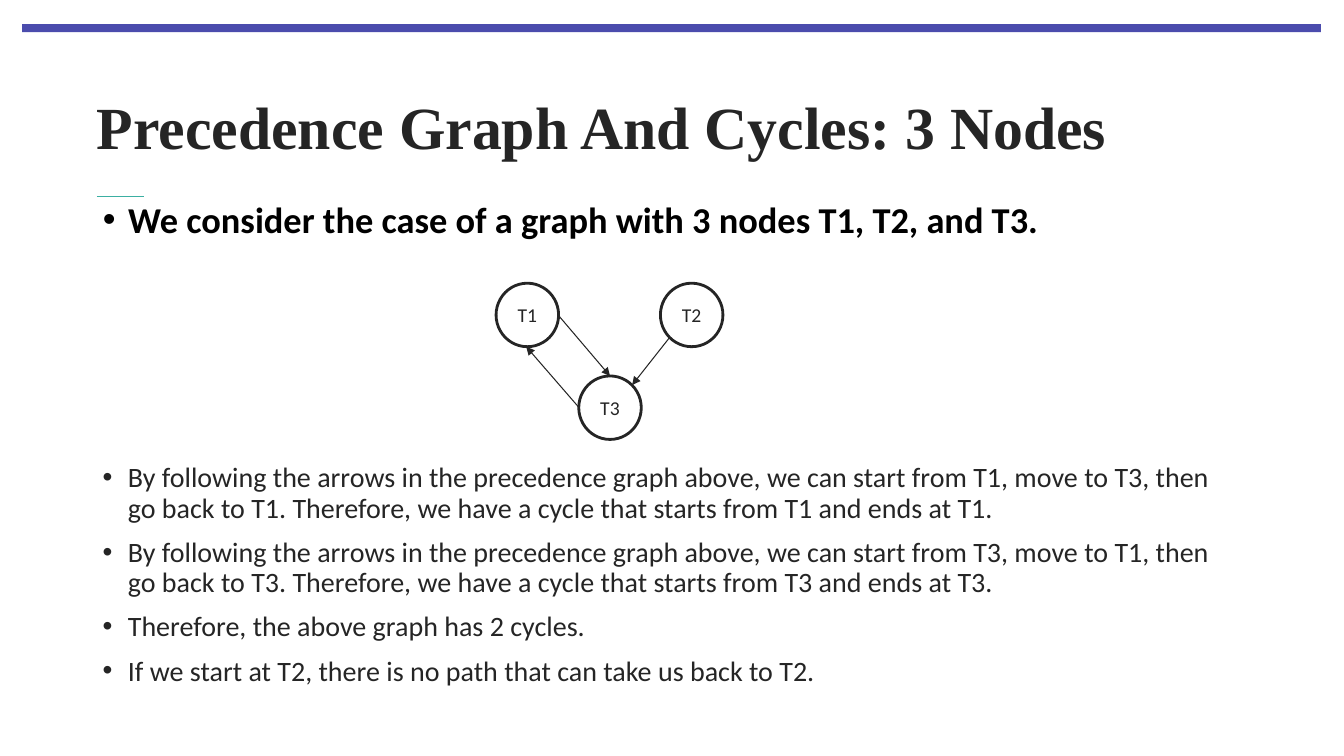
from lxml import etree
from pptx import Presentation
from pptx.dml.color import RGBColor
from pptx.enum.shapes import MSO_CONNECTOR, MSO_SHAPE
from pptx.enum.text import MSO_ANCHOR, MSO_AUTO_SIZE, PP_ALIGN
from pptx.oxml.ns import qn
from pptx.util import Inches, Pt

STRAIGHT = MSO_CONNECTOR.STRAIGHT
RECTANGLE, OVAL = MSO_SHAPE.RECTANGLE, MSO_SHAPE.OVAL
TOP, MIDDLE = MSO_ANCHOR.TOP, MSO_ANCHOR.MIDDLE
LEFT, CENTER = PP_ALIGN.LEFT, PP_ALIGN.CENTER
NO_AUTOFIT = MSO_AUTO_SIZE.NONE

INK = RGBColor(0x25, 0x25, 0x25)
BLACK = RGBColor(0x00, 0x00, 0x00)
PURPLE = RGBColor(0x4B, 0x4C, 0xAD)
TEAL = RGBColor(0x3B, 0xAF, 0xA2)

deck = Presentation()
deck.slide_width, deck.slide_height = Inches(13.33), Inches(7.5)
page = deck.slides.add_slide(deck.slide_layouts[1])


def write(para, text, size, color, bold=False, font="Calibri", bullet=False):
    span = para.add_run()
    span.text = text
    span.font.name, span.font.size, span.font.bold = font, Pt(size), bold
    span.font.color.rgb = color
    if bullet:
        para.alignment = LEFT
        para.line_spacing, para.space_before = 0.9, Pt(10)
        props = para._p.get_or_add_pPr()
        props.set("marL", str(Inches(0.25)))
        props.set("indent", str(-Inches(0.25)))
        etree.SubElement(props, qn("a:buFont")).set("typeface", "Arial")
        etree.SubElement(props, qn("a:buChar")).set("char", "•")


def connect(start, end, color, width, arrow=False):
    points = [Inches(value) for value in (*start, *end)]
    line = page.shapes.add_connector(STRAIGHT, *points)
    line.line.color.rgb, line.line.width = color, Pt(width)
    if arrow:
        outline = line.line._get_or_add_ln()
        etree.SubElement(outline, qn("a:tailEnd")).set("type", "triangle")
    etree.SubElement(line._element.spPr, qn("a:effectLst"))


# Top band and short accent rule
band = page.shapes.add_shape(RECTANGLE, Inches(0.22), Inches(0.24), Inches(12.88), Inches(0.08))
band.shadow.inherit = False
band.fill.solid()
band.fill.fore_color.rgb = PURPLE
band.line.fill.background()
connect((0.96, 1.95), (1.43, 1.95), TEAL, 0.5)

# Title
title = page.shapes.title
title.left, title.top = Inches(0.96), Inches(0.62)
title.width, title.height = Inches(11.61), Inches(1.25)
frame = title.text_frame
frame.auto_size, frame.vertical_anchor = NO_AUTOFIT, MIDDLE
frame.margin_left = frame.margin_right = frame.margin_top = frame.margin_bottom = 0
frame.paragraphs[0].alignment = LEFT
write(frame.paragraphs[0], "Precedence Graph And Cycles: 3 Nodes", 42.7, INK, True, "Times New Roman")

# Opening statement
body = page.placeholders[1]
body.left, body.top = Inches(0.92), Inches(2)
body.width, body.height = Inches(11.5), Inches(0.63)
frame = body.text_frame
frame.auto_size, frame.vertical_anchor = NO_AUTOFIT, TOP
frame.margin_top = frame.margin_bottom = 0
write(frame.paragraphs[0], "We consider the case of a graph with 3 nodes T1, T2, and T3.",
      26, BLACK, True, bullet=True)

# Conclusions
box = page.shapes.add_textbox(Inches(0.92), Inches(4.55), Inches(11.5), Inches(2.55))
frame = box.text_frame
frame.word_wrap = True
conclusions = [
    "By following the arrows in the precedence graph above, we can start from T1, move to T3, "
    "then go back to T1. Therefore, we have a cycle that starts from T1 and ends at T1.",
    "By following the arrows in the precedence graph above, we can start from T3, move to T1, "
    "then go back to T3. Therefore, we have a cycle that starts from T3 and ends at T3.",
    "Therefore, the above graph has 2 cycles.",
    "If we start at T2, there is no path that can take us back to T2.",
]
for index, text in enumerate(conclusions):
    para = frame.add_paragraph() if index else frame.paragraphs[0]
    write(para, text, 20, INK, bullet=True)

# Graph nodes
for name, left, top in [("T1", 4.92, 2.81), ("T2", 6.55, 2.81), ("T3", 5.74, 3.73)]:
    node = page.shapes.add_shape(OVAL, Inches(left), Inches(top), Inches(0.62), Inches(0.63))
    node.shadow.inherit = False
    node.fill.background()
    node.line.color.rgb, node.line.width = INK, Pt(2)
    node.text_frame.vertical_anchor = MIDDLE
    para = node.text_frame.paragraphs[0]
    para.alignment = CENTER
    write(para, name, 14, INK)

# Graph edges: T1 to T3, T2 to T3, T3 to T1
edges = [((5.54, 3.13), (6.05, 3.73)), ((6.64, 3.35), (6.27, 3.82)), ((5.74, 4.04), (5.22, 3.44))]
for start, end in edges:
    connect(start, end, INK, 0.75, arrow=True)

deck.save("out.pptx")
